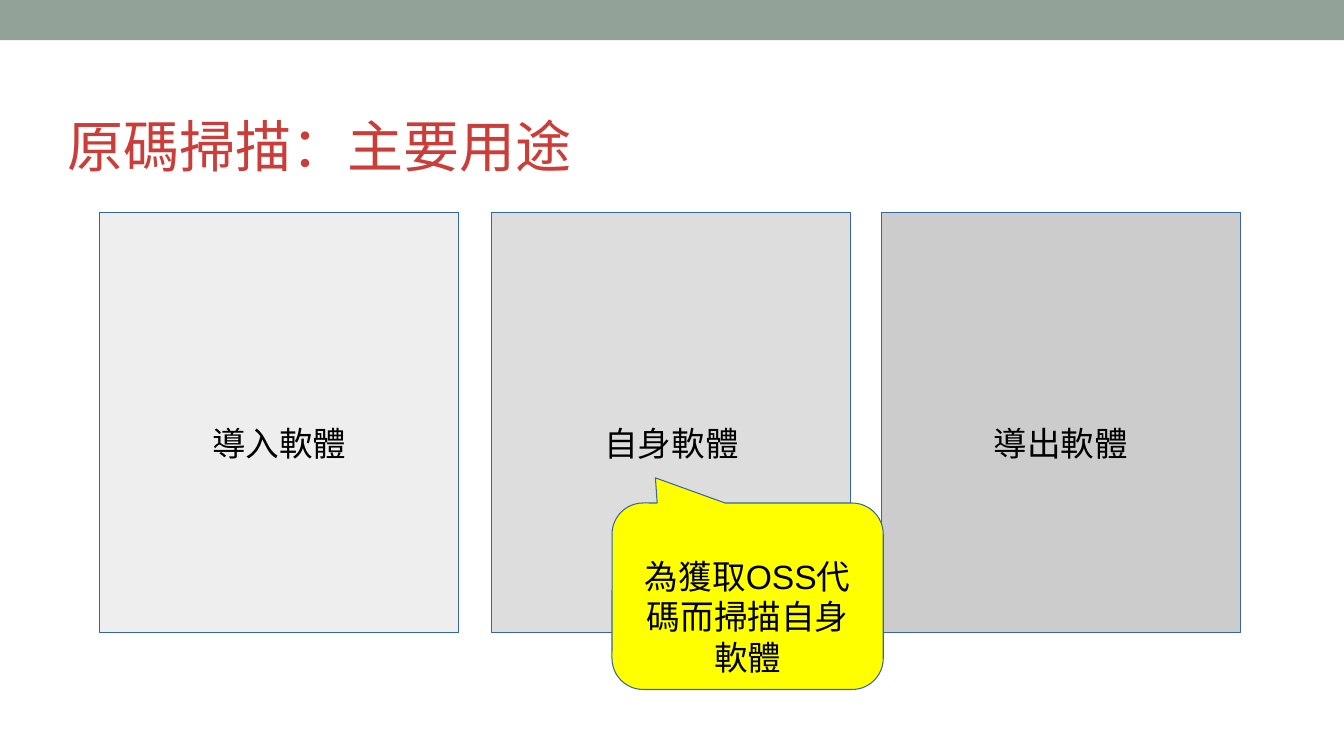
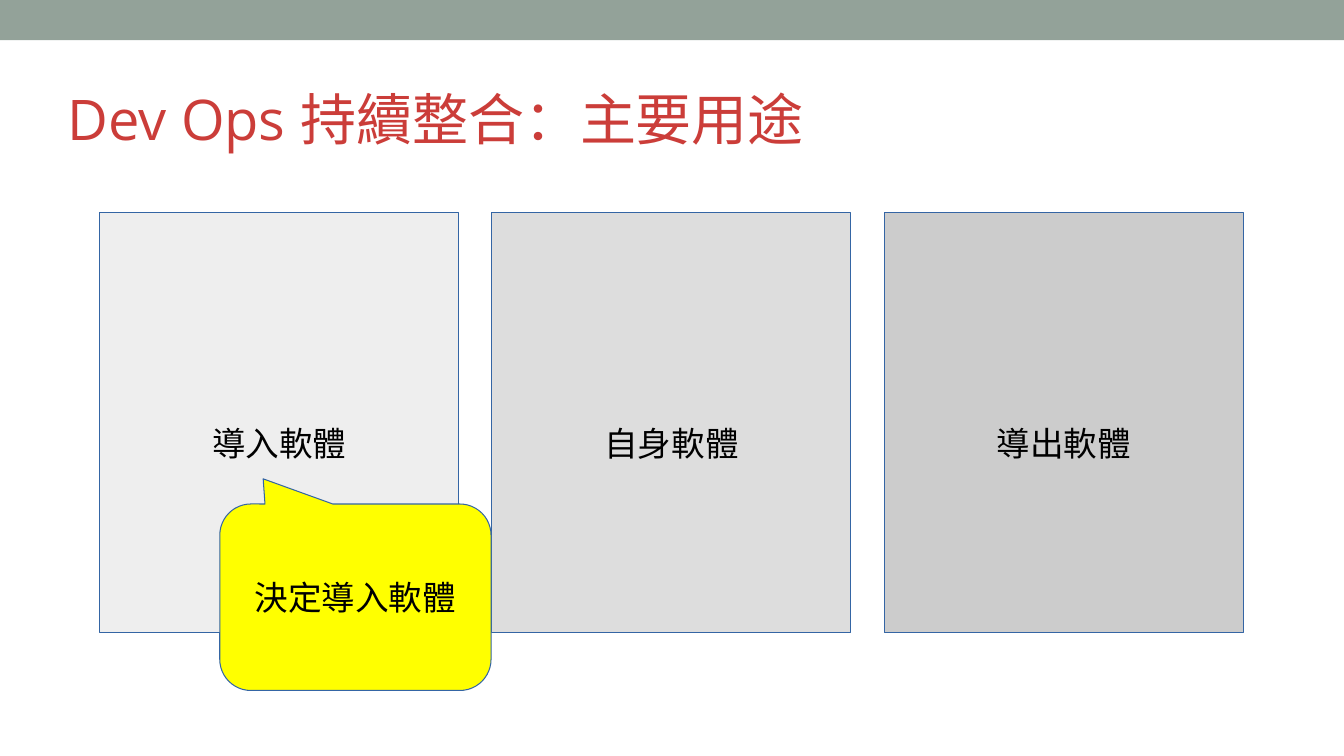
from dataclasses import dataclass

from pptx import Presentation
from pptx.dml.color import RGBColor
from pptx.enum import shapes, text
from pptx.shapes.autoshape import Shape
from pptx.slide import Slide
from pptx.util import Inches, Pt

COLORS = {
    "band": "93A299",
    "title": "CB3D39",
    "line": "3465A4",
    "text": "000000",
    "callout": "FFFF00",
}
PANELS = [("導入軟體", "EEEEEE"), ("自身軟體", "DDDDDD"), ("導出軟體", "CCCCCC")]
SLIDE_W, SLIDE_H = 13.33, 7.5
PANEL_LEFT, PANEL_TOP, PANEL_W, PANEL_H = 0.99, 2.11, 3.56, 4.17
PANEL_STEP = 3.89
CALLOUT_W, CALLOUT_H = 2.69, 1.85
CALLOUT_ADJUST = (-0.34, -0.635, 0.167)
LABEL_DROP = 0.4


@dataclass
class Callout:
    label: str
    left: float
    top: float
    drop: float


@dataclass
class UsagePage:
    title: str
    title_top: float
    last_panel_shift: float
    callout: Callout


PAGES = [
    UsagePage("原碼掃描：主要用途", 0.62, -0.03,
              Callout("為獲取OSS代碼而掃描自身軟體", 6.07, 4.99, LABEL_DROP)),
    UsagePage("Dev Ops 持續整合：主要用途", 0.35, 0,
              Callout("決定導入軟體", 2.18, 5, 0)),
]


def rgb(value: str) -> RGBColor:
    return RGBColor.from_string(value)


def write(sp: Shape, label: str, size: float, font: str, color: str,
          align: text.PP_ALIGN, anchor: text.MSO_ANCHOR,
          side: float = 0, top: float = 0) -> None:
    tf = sp.text_frame
    tf.word_wrap = True
    tf.vertical_anchor = anchor
    tf.margin_left = tf.margin_right = Inches(side)
    tf.margin_top, tf.margin_bottom = Inches(top), Inches(0)
    p = tf.paragraphs[0]
    p.text = label
    p.alignment = align
    r = p.runs[0]
    r.font.size = Pt(size)
    r.font.name = font
    r.font.color.rgb = rgb(color)


def add_filled(s: Slide, kind: shapes.MSO_SHAPE, left: float, top: float,
               width: float, height: float, fill: str) -> Shape:
    sp = s.shapes.add_shape(kind, Inches(left), Inches(top),
                            Inches(width), Inches(height))
    sp.shadow.inherit = False
    sp.fill.solid()
    sp.fill.fore_color.rgb = rgb(fill)
    return sp


def add_labelled(s: Slide, kind: shapes.MSO_SHAPE, left: float, top: float,
                 width: float, height: float, fill: str,
                 label: str, drop: float) -> Shape:
    sp = add_filled(s, kind, left, top, width, height, fill)
    sp.line.color.rgb = rgb(COLORS["line"])
    sp.line.width = Pt(0.74)
    write(sp, label, 24, "Arial", COLORS["text"], text.PP_ALIGN.CENTER,
          text.MSO_ANCHOR.MIDDLE, side=0.1, top=drop)
    return sp


def add_frame(s: Slide, title: str, top: float) -> None:
    band = add_filled(s, shapes.MSO_SHAPE.RECTANGLE, 0, 0, SLIDE_W, 0.4,
                      COLORS["band"])
    band.line.fill.background()
    box = s.shapes.add_textbox(Inches(0.67), Inches(top),
                               Inches(12), Inches(1.15))
    write(box, title, 40, "Open Sans", COLORS["title"], text.PP_ALIGN.LEFT,
          text.MSO_ANCHOR.BOTTOM)


def add_panels(s: Slide, last_shift: float) -> None:
    for i, (label, fill) in enumerate(PANELS):
        left = PANEL_LEFT + i * PANEL_STEP
        if i == len(PANELS) - 1:
            left += last_shift
        add_labelled(s, shapes.MSO_SHAPE.RECTANGLE, left, PANEL_TOP,
                     PANEL_W, PANEL_H, fill, label, LABEL_DROP)


def add_callout(s: Slide, callout: Callout) -> None:
    sp = add_labelled(s, shapes.MSO_SHAPE.ROUNDED_RECTANGULAR_CALLOUT,
                      callout.left, callout.top, CALLOUT_W, CALLOUT_H,
                      COLORS["callout"], callout.label, callout.drop)
    for i, value in enumerate(CALLOUT_ADJUST):
        sp.adjustments[i] = value


def main() -> None:
    prs = Presentation()
    prs.slide_width, prs.slide_height = Inches(SLIDE_W), Inches(SLIDE_H)
    for page in PAGES:
        s = prs.slides.add_slide(prs.slide_layouts[6])
        add_frame(s, page.title, page.title_top)
        add_panels(s, page.last_panel_shift)
        add_callout(s, page.callout)
    prs.save("out.pptx")


main()
